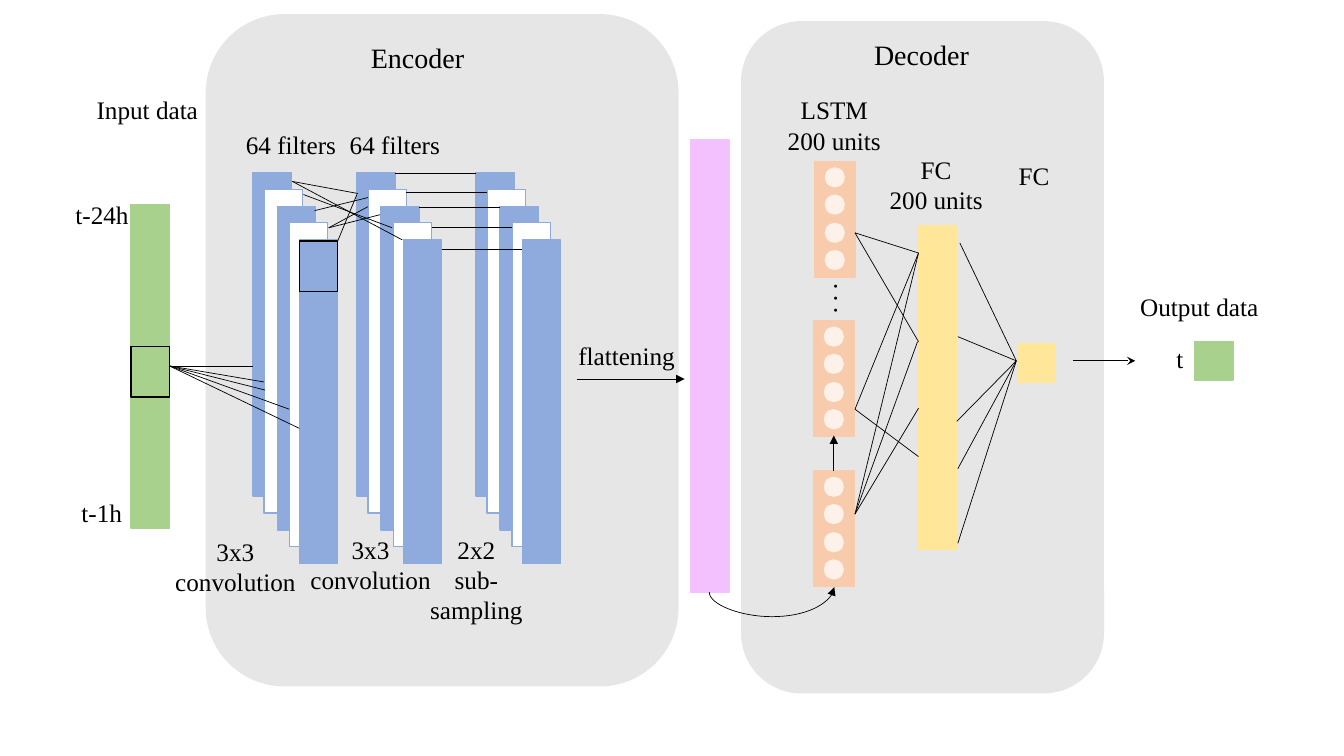
from lxml.etree import SubElement
from pptx import Presentation
from pptx.dml.color import RGBColor
from pptx.enum.shapes import MSO_CONNECTOR, MSO_SHAPE
from pptx.enum.text import MSO_AUTO_SIZE, PP_ALIGN
from pptx.oxml.ns import qn
from pptx.util import Emu, Pt

PX = 9144
HUES = {
    "panel": "D0CECE",
    "green": "A9D18E",
    "blue": "8FAADC",
    "white": "FFFFFF",
    "pink": "F3C1FD",
    "peach": "F8CBAD",
    "gold": "FFE699",
    "black": "000000",
}


def px(*sizes):
    return [Emu(size * PX) for size in sizes]


def hue(name):
    return RGBColor.from_string(HUES[name])


class Board:
    """Draw the elements of one slide in a shared style."""

    def __init__(self, slide, font="Times New Roman", size=18, thin=0.5):
        self.shapes = slide.shapes
        self.font, self.size, self.thin = font, size, thin

    def shape(self, x, y, w, h, fill=None, edge=None, kind=MSO_SHAPE.RECTANGLE, alpha=100):
        item = self.shapes.add_shape(kind, *px(x, y, w, h))
        item.shadow.inherit = False
        if fill:
            item.fill.solid()
            item.fill.fore_color.rgb = hue(fill)
            if alpha < 100:
                tint = item.fill._xPr.find(".//" + qn("a:srgbClr"))
                SubElement(tint, qn("a:alpha"), val=str(alpha * 1000))
        else:
            item.fill.background()
        if edge:
            item.line.color.rgb = hue(edge)
            item.line.width = Pt(1)
        else:
            item.line.fill.background()

    def bar(self, x, y, w, h, fill, edge=None):
        self.shape(x, y, w, h, fill, edge or fill)

    def panel(self, x, y, w, h):
        self.shape(x, y, w, h, "panel", kind=MSO_SHAPE.ROUNDED_RECTANGLE, alpha=50)

    def text(self, x, y, w, h, *paras, size=None, font=None, align=PP_ALIGN.LEFT, turn=0):
        box = self.shapes.add_textbox(*px(x, y, w, h))
        box.rotation = turn
        frame = box.text_frame
        frame.word_wrap = False
        frame.auto_size = MSO_AUTO_SIZE.SHAPE_TO_FIT_TEXT
        for spot, words in enumerate(paras):
            para = frame.add_paragraph() if spot else frame.paragraphs[0]
            para.text = words
            para.alignment = align
            for run in para.runs:
                run.font.name = font or self.font
                run.font.size = Pt(size or self.size)
                run.font.color.rgb = hue("black")

    def line(self, start, end, head=None, kind=MSO_CONNECTOR.STRAIGHT):
        item = self.shapes.add_connector(kind, *px(*start, *end))
        item.line.color.rgb = hue("black")
        item.line.width = Pt(self.thin)
        if head:
            SubElement(item.line._get_or_add_ln(), qn("a:tailEnd"), type=head)
        SubElement(item._element.spPr, qn("a:effectLst"))
        return item

    def fan(self, hub, *ends):
        for end in ends:
            self.line(hub, end)

    def curve(self, start, end, bend):
        item = self.line(start, end, "triangle", MSO_CONNECTOR.CURVE)
        props = item._element.spPr
        frame = props.find(qn("a:xfrm"))
        for key, val in (("rot", "5400000"), ("flipH", "1"), ("flipV", "1")):
            frame.set(key, val)
        guides = props.find(qn("a:prstGeom")).find(qn("a:avLst"))
        SubElement(guides, qn("a:gd"), name="adj1", fmla=f"val {bend}")

    def stack(self, x, y):
        steps = ((0, 0), (11, 17), (24, 34), (36, 50), (46, 67))
        for spot, (dx, dy) in enumerate(steps):
            self.bar(x + dx, y + dy, 38, 321, "white" if spot % 2 else "blue", "blue")

    def cell(self, x, y):
        self.bar(x, y, 40, 115, "peach")
        for dy in (6, 33, 61, 88):
            self.shape(x + 10, y + dy, 20, 20, "white", kind=MSO_SHAPE.OVAL, alpha=75)


def encode(board):
    mid = PP_ALIGN.CENTER
    board.bar(130, 203, 38, 321, "green")
    board.text(86, 89, 126, 40, "Input data")
    board.text(65, 193, 74, 40, "t-24h")
    board.text(71, 488, 61, 40, "t-1h")
    board.text(358, 35, 114, 44, "Encoder", size=20)
    for x in (251, 354, 472):
        board.stack(x, 171)
    for x in (234, 337):
        board.text(x, 123, 111, 40, "64 filters")
    board.text(163, 527, 141, 71, "3x3", "convolution", align=mid)
    board.text(297, 525, 141, 71, "3x3", "convolution", align=mid)
    board.text(416, 525, 113, 101, "2x2", "sub-\vsampling", align=mid)
    board.fan((168, 363), (251, 363), (262, 379), (263, 387), (287, 406), (297, 425))
    board.fan((290, 180), (355, 192), (399, 238))
    board.fan((326, 226), (365, 205), (377, 213))
    board.line((335, 239), (354, 193))
    board.line((301, 193), (389, 226))
    board.line((312, 209), (365, 196))
    for x, y in ((392, 172), (403, 191), (416, 206), (428, 226), (438, 247)):
        board.line((x, y), (x + 80, y))
    for x, y in ((130, 344), (297, 239)):
        board.shape(x, y, 38, 50, edge="black")


def decode(board):
    mid = PP_ALIGN.CENTER
    board.bar(685, 139, 38, 449, "pink")
    board.text(563, 333, 117, 40, "flattening", align=mid)
    board.line((572, 376), (679, 376), "triangle")
    board.text(857, 32, 115, 44, "Decoder", size=20)
    for x, y in ((807, 467), (807, 318), (808, 160)):
        board.cell(x, y)
    board.curve((763, 523), (768, 647), -486100)
    board.line((827, 467), (827, 432), "triangle")
    board.text(771, 89, 113, 71, "LSTM", "200 units", align=mid)
    board.text(812, 277, 51, 40, ". . .", font="Calibri", turn=90)
    board.bar(911, 224, 38, 321, "gold")
    board.bar(1009, 341, 38, 38, "gold")
    board.text(871, 148, 115, 71, "FC", "200 units", align=mid)
    board.text(1000, 154, 51, 40, "FC", align=mid)
    board.fan((848, 231), (911, 251), (911, 339))
    board.fan((848, 406), (911, 251), (911, 453))
    board.fan((848, 510), (911, 251), (910, 339), (911, 405))
    board.fan((1008, 358), (952, 241), (950, 334), (949, 418), (950, 465), (950, 539))
    board.line((1064, 358), (1126, 358), "stealth")
    board.text(1121, 284, 139, 40, "Output data")
    board.bar(1185, 339, 38, 38, "green")
    board.text(1157, 336, 27, 40, "t")


def main():
    deck = Presentation()
    deck.slide_width, deck.slide_height = px(1333, 750)
    board = Board(deck.slides.add_slide(deck.slide_layouts[6]))
    board.panel(204, 14, 469, 667)
    board.panel(735, 21, 360, 667)
    encode(board)
    decode(board)
    deck.save("out.pptx")


if __name__ == "__main__":
    main()
